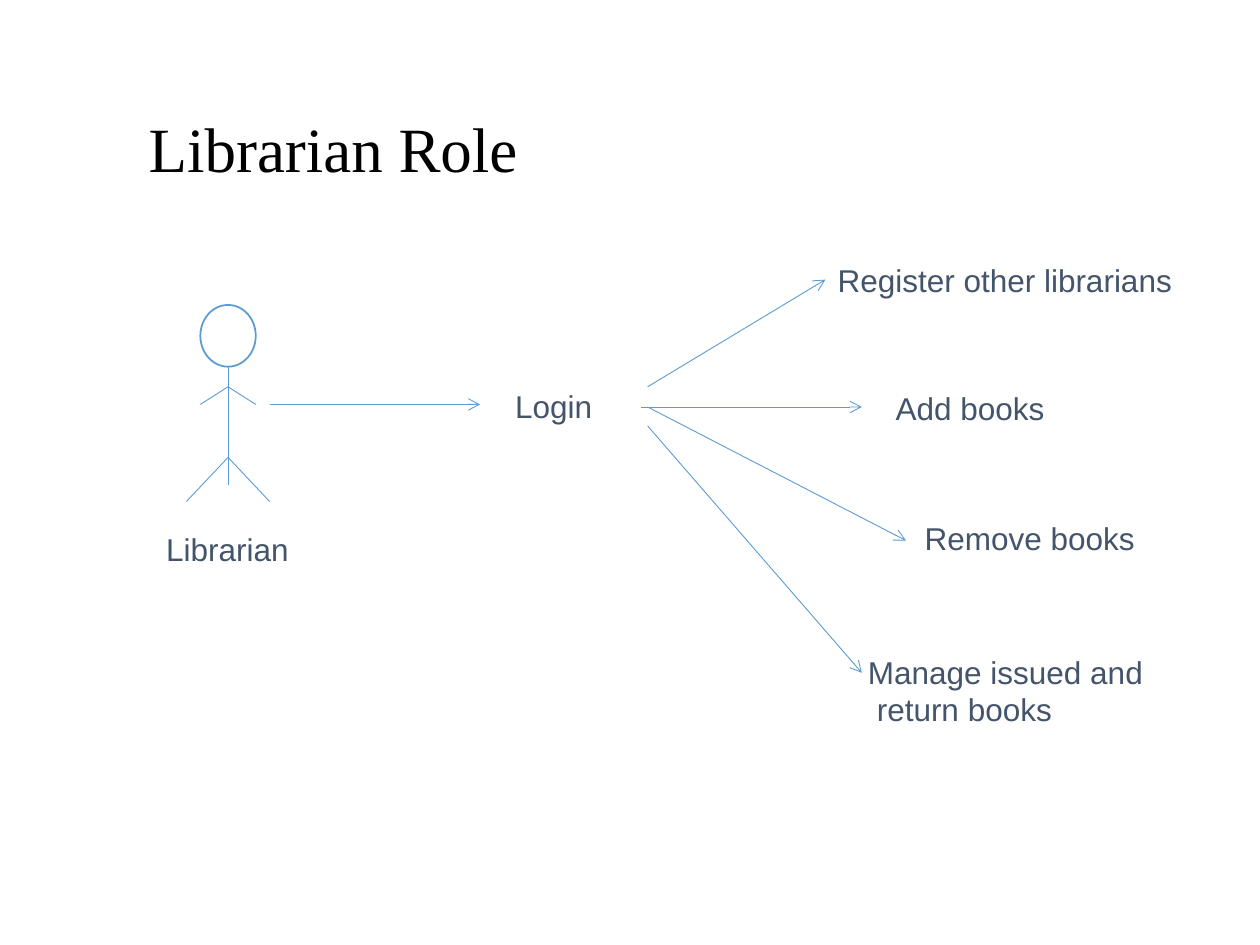
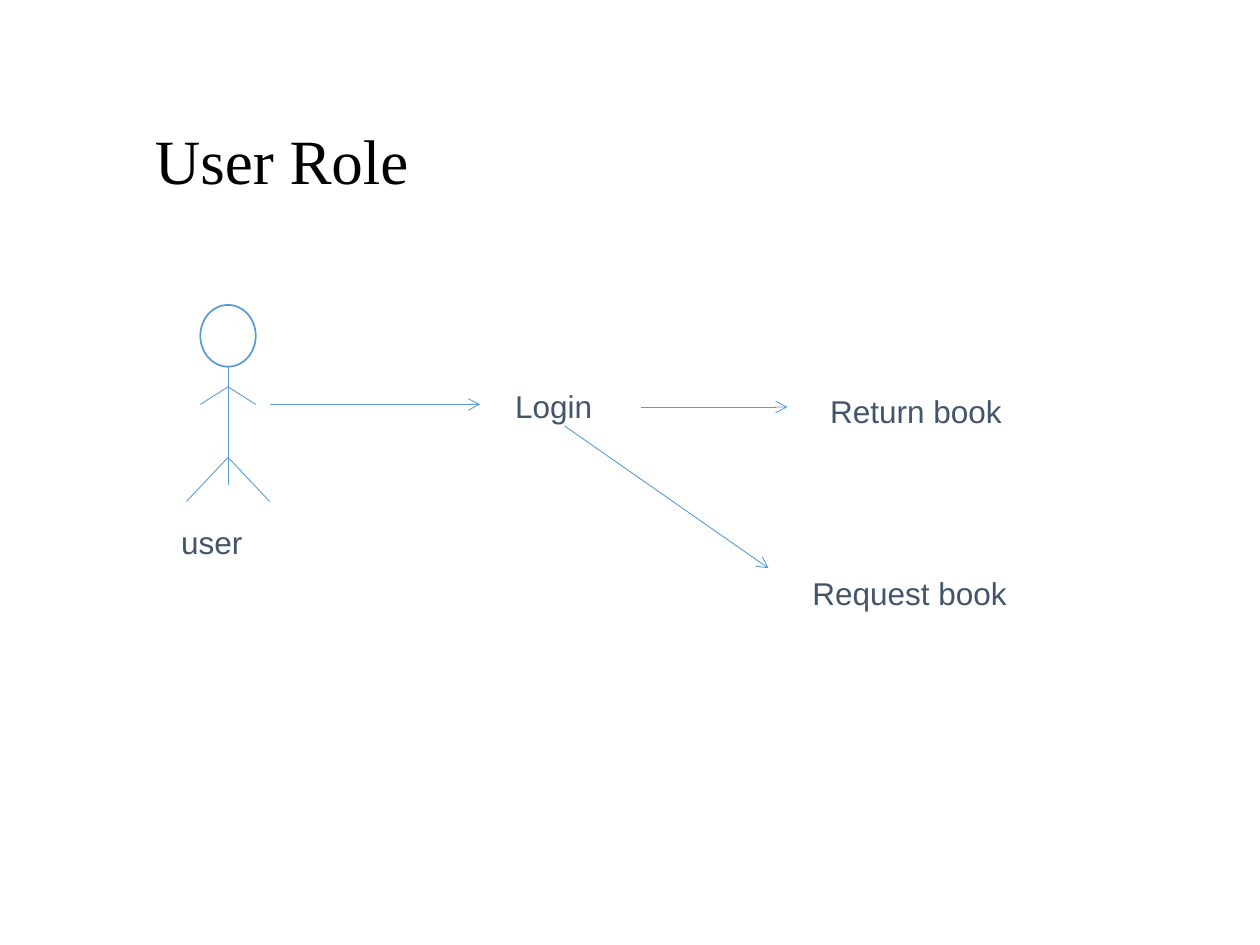
"""Build two role diagrams for a library system."""
import dataclasses

import lxml.etree
import pptx
import pptx.dml.color
import pptx.enum.shapes
import pptx.enum.text
import pptx.oxml.ns
import pptx.util

Inches = pptx.util.Inches
Shapes = pptx.enum.shapes.MSO_SHAPE


@dataclasses.dataclass(frozen=True)
class Theme:
    """Colours, fonts, type sizes and line widths."""
    ink: str = "000000"
    label: str = "44546A"
    stroke: str = "5B9BD5"
    paper: str = "FFFFFF"
    title_font: str = "Times New Roman"
    label_font: str = "Arial"
    title_size: float = 36
    label_size: float = 18
    thin: float = 0.5
    frame: float = 0.75
    outline: float = 1


THEME = Theme()


def rgb(code):
    """Return the colour for a hex code."""
    return pptx.dml.color.RGBColor.from_string(code)


def set_line(shape, color, width):
    """Give a shape or connector its line."""
    shape.line.color.rgb = rgb(color)
    shape.line.width = pptx.util.Pt(width)


def write_text(frame, text, font=THEME.label_font, size=THEME.label_size,
               color=THEME.label, spacing=1.0, hanging=0):
    """Write one paragraph a line, shifting the lines after the first."""
    for index, line in enumerate(text.split("\n")):
        para = frame.add_paragraph() if index else frame.paragraphs[0]
        para.alignment = pptx.enum.text.PP_ALIGN.LEFT
        para.line_spacing = spacing
        if index and hanging:
            para._p.get_or_add_pPr().set("marL", str(Inches(hanging)))
        span = para.add_run()
        span.text = line
        span.font.name = font
        span.font.size = pptx.util.Pt(size)
        span.font.color.rgb = rgb(color)


def add_title(page, text, place, anchor, bottom_inset=0.05):
    """Place and fill the title placeholder."""
    title = page.shapes.title
    title.left, title.top, title.width, title.height = map(Inches, place)
    frame = title.text_frame
    frame.auto_size = pptx.enum.text.MSO_AUTO_SIZE.NONE
    frame.vertical_anchor = anchor
    frame.margin_bottom = Inches(bottom_inset)
    write_text(frame, text, font=THEME.title_font, size=THEME.title_size,
               color=THEME.ink, spacing=0.9)


def add_outline(page, kind, place, color, width):
    """Add an unfilled preset shape."""
    shape = page.shapes.add_shape(kind, *map(Inches, place))
    shape.shadow.inherit = False
    shape.fill.background()
    set_line(shape, color, width)
    return shape


def add_label(page, text, place, framed=False, hanging=0):
    """Add a diagram label that fits its text."""
    if framed:
        box = add_outline(page, Shapes.RECTANGLE, place, THEME.paper, THEME.frame)
    else:
        box = page.shapes.add_textbox(*map(Inches, place))
    frame = box.text_frame
    frame.word_wrap = False
    frame.auto_size = pptx.enum.text.MSO_AUTO_SIZE.SHAPE_TO_FIT_TEXT
    write_text(frame, text, hanging=hanging)
    return box


def add_line(page, start, end, arrow=False):
    """Add a thin straight connector, with an optional arrowhead."""
    line = page.shapes.add_connector(
        pptx.enum.shapes.MSO_CONNECTOR.STRAIGHT, *map(Inches, start + end))
    set_line(line, THEME.stroke, THEME.thin)
    qn = pptx.oxml.ns.qn
    if arrow:
        lxml.etree.SubElement(line.line._get_or_add_ln(), qn("a:tailEnd"), type="arrow")
    lxml.etree.SubElement(line._element.spPr, qn("a:effectLst"))
    return line


def add_actor(page, name, place, framed=False):
    """Draw a stick figure with its name."""
    center, shoulder, hip = 1.81, 3.07, 3.63
    add_outline(page, Shapes.OVAL, (1.59, 2.42, 0.44, 0.49), THEME.stroke, THEME.outline)
    add_line(page, (center, 2.91), (center, 3.85))
    for joint, reach, tip in ((shoulder, 0.22, 3.21), (hip, 0.33, 3.98)):
        for side in (-1, 1):
            add_line(page, (center, joint), (center + side * reach, tip))
    add_label(page, name, place, framed=framed)


def add_login(page):
    """Add the login step and the arrow leading to it."""
    add_line(page, (2.14, 3.21), (3.81, 3.21), arrow=True)
    add_label(page, "Login", (3.99, 3.02, 0.81, 0.4))


def add_action(page, text, place, start, end=None, hanging=0):
    """Add an action and its arrow, joined to the label when no end is given."""
    label = add_label(page, text, place, hanging=hanging)
    arrow = add_line(page, start, end or start, arrow=True)
    if end is None:
        arrow.end_connect(label, 1)


def add_role_page(deck):
    """Add a page that holds only a title."""
    return deck.slides.add_slide(deck.slide_layouts[5])


def add_librarian_page(deck):
    """Show what a librarian can do."""
    page = add_role_page(deck)
    add_title(page, "Librarian Role", (1.08, 0.42, 8.13, 1.06),
              pptx.enum.text.MSO_ANCHOR.BOTTOM, bottom_inset=0)
    add_actor(page, "Librarian", (1.22, 4.16, 1.17, 0.4))
    add_login(page)
    add_action(page, "Register other librarians", (6.55, 2.02, 2.87, 0.4), (5.14, 3.07))
    add_action(page, "Add books", (7.01, 3.04, 1.38, 0.4), (5.09, 3.23), (6.84, 3.23))
    add_action(page, "Remove books", (7.24, 4.07, 1.88, 0.4), (5.14, 3.23), (7.19, 4.29))
    add_action(page, "Manage issued and\nreturn books", (6.79, 5.13, 2.38, 0.7),
               (5.14, 3.38), (6.84, 5.34), hanging=0.07)


def add_user_page(deck):
    """Show what a user can do."""
    page = add_role_page(deck)
    add_title(page, "User Role", (1.13, 0.66, 7.78, 1.28),
              pptx.enum.text.MSO_ANCHOR.MIDDLE)
    add_actor(page, "user", (1.34, 4.1, 0.7, 0.4), framed=True)
    add_login(page)
    add_action(page, "Return book", (6.49, 3.06, 1.56, 0.4), (5.09, 3.23), (6.25, 3.23))
    add_action(page, "Request book", (6.35, 4.51, 1.74, 0.4), (4.48, 3.38), (6.1, 4.51))


def main():
    """Build and save the deck."""
    deck = pptx.Presentation()
    deck.slide_width, deck.slide_height = Inches(10), Inches(7.5)
    add_librarian_page(deck)
    add_user_page(deck)
    deck.save("out.pptx")


if __name__ == "__main__":
    main()
